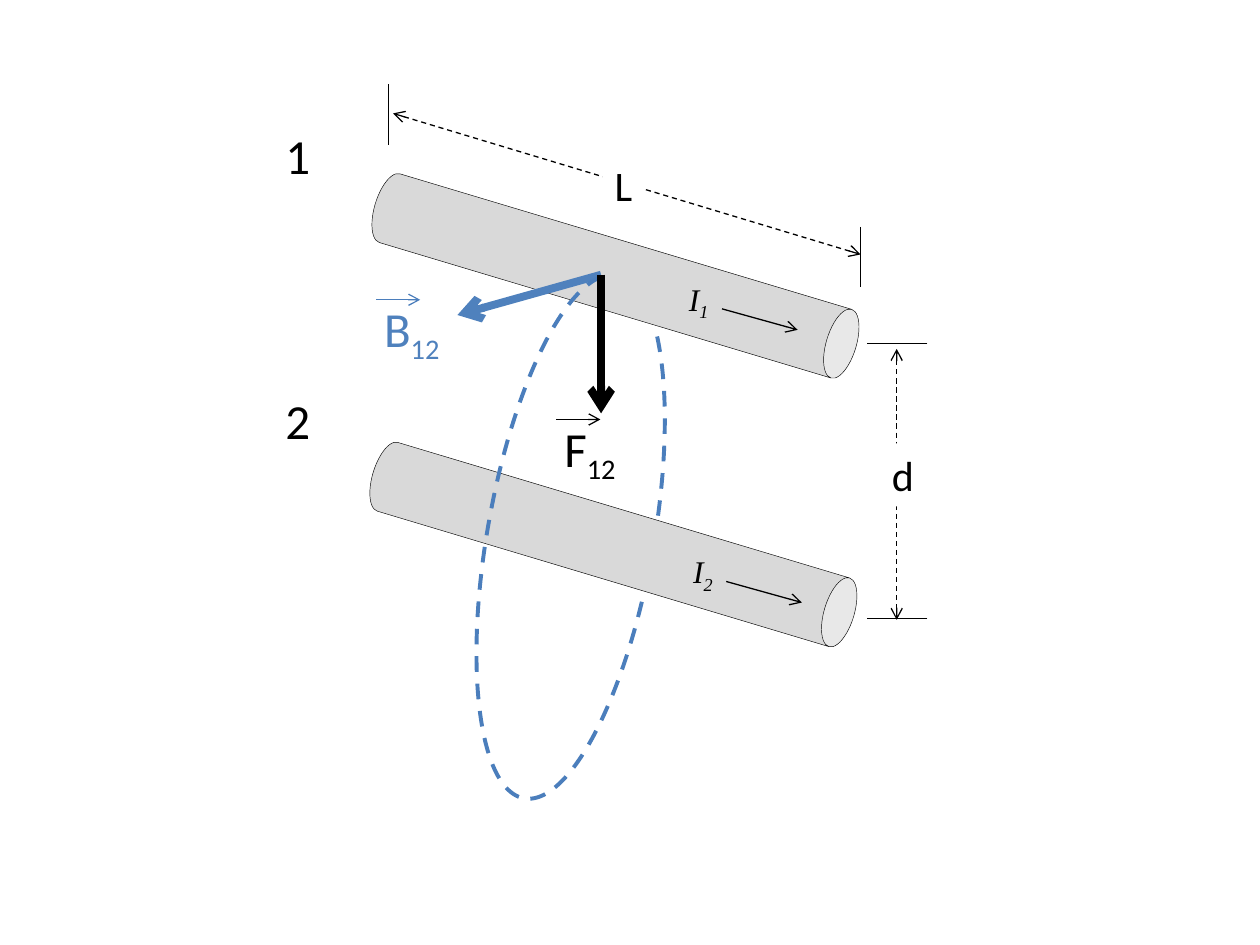
import pptx
import pptx.util
import pptx.dml.color
import pptx.enum.dml
import pptx.enum.shapes
import pptx.enum.text
import pptx.oxml.ns
from lxml import etree

Pt = pptx.util.Pt
RGBColor = pptx.dml.color.RGBColor
SHAPE = pptx.enum.shapes.MSO_SHAPE
DASH = pptx.enum.dml.MSO_LINE.DASH
qn = pptx.oxml.ns.qn

BLACK = RGBColor(0x00, 0x00, 0x00)
WHITE = RGBColor(0xFF, 0xFF, 0xFF)
GREY = RGBColor(0xD9, 0xD9, 0xD9)
BLUE = RGBColor(0x4F, 0x81, 0xBD)
FIELD_BLUE = RGBColor(0x4B, 0x7E, 0xBC)


def add_text(shapes, text, box, size, sub="", font="Calibri", color=BLACK,
             italic=False, wrap=False, fill=None):
    """Add a text box, optionally with a subscript after the text."""
    s = shapes.add_textbox(*map(Pt, box))
    if fill is not None:
        s.fill.solid()
        s.fill.fore_color.rgb = fill
    tf = s.text_frame
    tf.word_wrap = wrap
    tf.auto_size = pptx.enum.text.MSO_AUTO_SIZE.SHAPE_TO_FIT_TEXT
    p = tf.paragraphs[0]
    for part, baseline in ((text, None), (sub, "-25000")):
        if not part:
            continue
        r = p.add_run()
        r.text = part
        r.font.name = font
        r.font.size = Pt(size)
        r.font.italic = italic
        r.font.color.rgb = color
        if baseline:
            r.font._element.set("baseline", baseline)


def add_line(shapes, start, end, color=BLACK, width=0.75, dash=None, arrows=()):
    """Add a straight line; arrows names the ends with an open arrowhead."""
    s = shapes.add_connector(pptx.enum.shapes.MSO_CONNECTOR.STRAIGHT,
                             *map(Pt, (*start, *end)))
    s.line.color.rgb = color
    s.line.width = Pt(width)
    if dash:
        s.line.dash_style = dash
    for name in arrows:
        etree.SubElement(s.line._get_or_add_ln(), qn("a:" + name), type="arrow")
    etree.SubElement(s._element.spPr, qn("a:effectLst"))


def add_outline(shapes, kind, box, rotation, adjustments, color, width):
    """Add a rotated preset shape without fill."""
    s = shapes.add_shape(kind, *map(Pt, box))
    s.shadow.inherit = False
    s.rotation = rotation
    for i, value in enumerate(adjustments):
        s.adjustments[i] = value
    s.fill.background()
    s.line.color.rgb = color
    s.line.width = Pt(width)
    return s


def add_wire(shapes, x, y):
    s = add_outline(shapes, SHAPE.CAN, (x, y, 41, 286.6), 106.7, [0.419], BLACK, 0.25)
    s.fill.solid()
    s.fill.fore_color.rgb = GREY


def add_field_arc(shapes, start, end):
    s = add_outline(shapes, SHAPE.ARC, (278.6, 154.8, 95, 303.8), 10.1,
                    [start, end], FIELD_BLUE, 2.25)
    s.line.dash_style = DASH


def add_dimension(shapes, text, start, end, ticks, label_box):
    """Add a dashed double arrow between two tick lines, with its label."""
    for tick_start, tick_end in ticks:
        add_line(shapes, tick_start, tick_end)
    add_line(shapes, start, end, dash=DASH, arrows=("headEnd", "tailEnd"))
    add_text(shapes, text, label_box, 24, fill=WHITE)


def add_vector_label(shapes, text, x, y, color, arrow_color):
    """Add a grouped vector symbol with an arrow above it."""
    group = shapes.add_group_shape().shapes
    add_text(group, text, (x, y, 64.8, 41.2), 28, sub="12", color=color, wrap=True)
    add_line(group, (x + 2.5, y + 4.3), (x + 27.7, y + 4.3), arrow_color,
             arrows=["tailEnd"])


def add_current(shapes, sub, x, y):
    add_line(shapes, (x + 26, y + 20.3), (x + 69.2, y + 32.3), arrows=["tailEnd"])
    add_text(shapes, "I", (x, y, 26.6, 29), 18, sub=sub,
             font="Times New Roman", italic=True)


def main():
    prs = pptx.Presentation()
    prs.slide_width, prs.slide_height = Pt(720), Pt(540)
    shapes = prs.slides.add_slide(prs.slide_layouts[6]).shapes

    # Wires and their numbers
    add_wire(shapes, 331.2, 14.4)
    add_wire(shapes, 330, 167.9)
    add_text(shapes, "1", (156, 68.4, 28.8, 41.2), 28)
    add_text(shapes, "2", (156, 219.6, 28.8, 41.2), 28)

    # Field vector at wire 1
    origin = (343.5, 157)
    add_line(shapes, origin, (261.4, 180), BLUE, 4.5, arrows=["tailEnd"])

    # Wire length and distance
    add_dimension(shapes, "L", (224.6, 64.8), (491.8, 145.4),
                  [((x, y), (x, y + 34.6)) for x, y in ((222, 48.2), (491.8, 129.6))],
                  (344.2, 87.8, 24.5, 36))
    add_dimension(shapes, "d", (512.4, 199.4), (512.4, 354.2),
                  [((530, y), (495.4, y)) for y in (196.4, 353.5)],
                  (502.6, 253.4, 27.4, 36))

    # Magnetic field loop, broken where it passes behind the wires
    add_vector_label(shapes, "B", 212.4, 167, BLUE, FIELD_BLUE)
    add_field_arc(shapes, 169.96, 201.83)
    add_field_arc(shapes, 19.42, 160.98)

    # Force on wire 1
    add_line(shapes, origin, (343.5, 236.2), BLACK, 4.5, arrows=["tailEnd"])
    add_vector_label(shapes, "F", 315.4, 235.4, BLACK, BLACK)

    # Currents
    add_current(shapes, "1", 386.6, 156.2)
    add_current(shapes, "2", 389, 312)

    prs.save("out.pptx")


if __name__ == "__main__":
    main()
